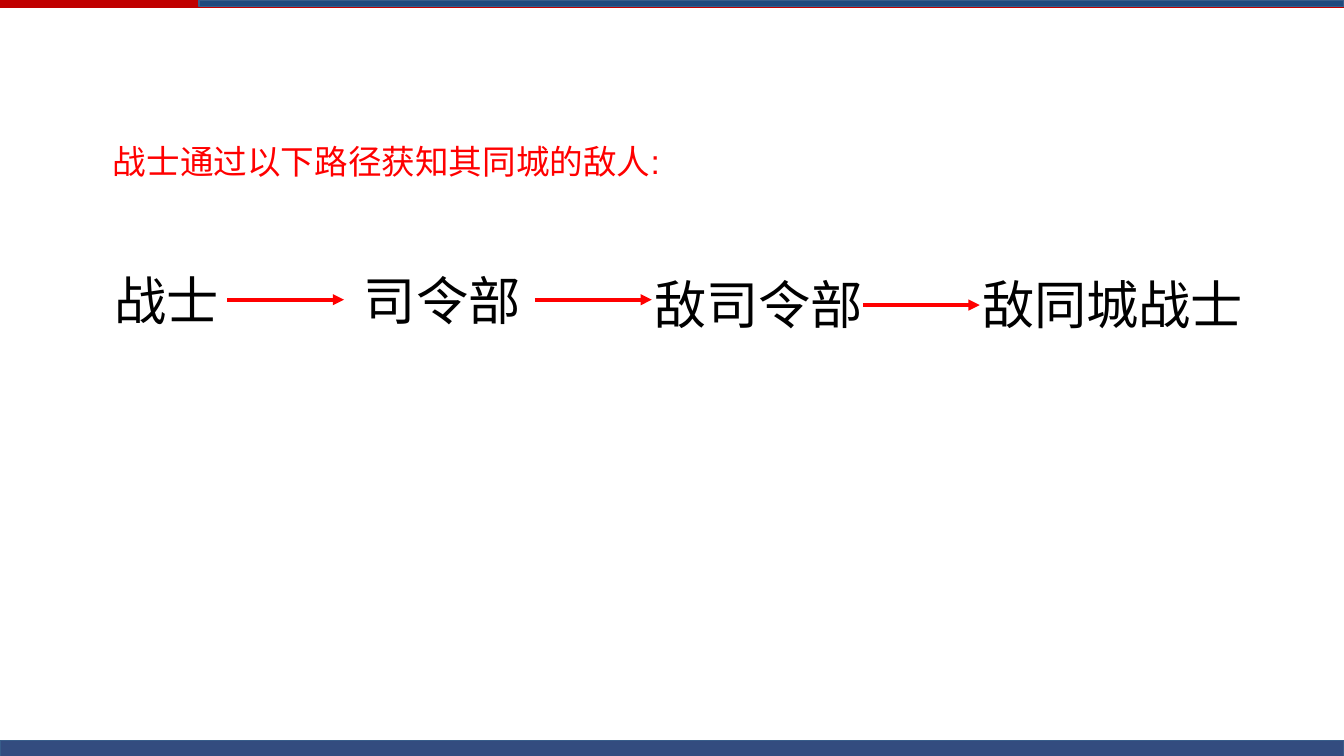
import pptx
import pptx.dml.color
import pptx.enum.shapes
import pptx.enum.text
import pptx.oxml.ns
import pptx.util
from dataclasses import dataclass
from typing import Optional

Inches = pptx.util.Inches
Pt = pptx.util.Pt
qn = pptx.oxml.ns.qn

CJK_FONT = "Noto Sans CJK SC"
RED = "FF0000"
BLACK = "000000"
BORDER_BLUE = "385D8A"


@dataclass
class Bar:
    left: float
    top: float
    width: float
    height: float
    fill: str
    border: Optional[str] = None
    opacity: int = 100


@dataclass
class Stage:
    label: str
    left: float
    top: float
    width: float


@dataclass
class Arrow:
    left: float
    y: float


BARS = [
    Bar(0, 0, 10, 0.06, "C00000"),
    Bar(1.48, 0, 8.52, 0.05, "1F497D", BORDER_BLUE),
    Bar(0, 5.51, 10, 0.12, "002060", BORDER_BLUE, 80),
]
STAGES = [
    Stage("战士", 0.75, 1.95, 0.99),
    Stage("司令部", 2.61, 1.95, 1.38),
    Stage("敌司令部", 4.77, 1.98, 1.77),
    Stage("敌同城战士", 7.21, 1.98, 2.16),
]
STAGE_HEIGHT = 0.57
ARROWS = [Arrow(1.69, 2.23), Arrow(3.98, 2.23), Arrow(6.42, 2.27)]
ARROW_LENGTH = 0.87


def color(value: str) -> pptx.dml.color.RGBColor:
    return pptx.dml.color.RGBColor.from_string(value)


def draw_bar(slide, bar: Bar) -> None:
    strip = slide.shapes.add_shape(
        pptx.enum.shapes.MSO_SHAPE.RECTANGLE,
        Inches(bar.left), Inches(bar.top), Inches(bar.width), Inches(bar.height))
    strip.shadow.inherit = False
    strip.fill.solid()
    strip.fill.fore_color.rgb = color(bar.fill)
    if bar.opacity < 100:
        tint = strip._element.spPr.find(qn("a:solidFill"))[0]
        tint.append(tint.makeelement(qn("a:alpha"), {"val": str(bar.opacity * 1000)}))
    if bar.border:
        strip.line.color.rgb = color(bar.border)
        strip.line.width = Pt(0)
    else:
        strip.line.fill.background()


def write_text(box, text: str, size: float, font: str, text_color: str) -> None:
    frame = box.text_frame
    frame.word_wrap = False
    frame.auto_size = pptx.enum.text.MSO_AUTO_SIZE.SHAPE_TO_FIT_TEXT
    frame.vertical_anchor = pptx.enum.text.MSO_ANCHOR.TOP
    frame.margin_left = frame.margin_right = Inches(0.1)
    frame.margin_top = frame.margin_bottom = Inches(0.05)
    paragraph = frame.paragraphs[0]
    paragraph.alignment = pptx.enum.text.PP_ALIGN.LEFT
    run = paragraph.add_run()
    run.text = text
    run.font.size = Pt(size)
    run.font.name = font
    run.font.color.rgb = color(text_color)
    # Chinese characters take their font from the East Asian slot
    latin = run.font._element.find(qn("a:latin"))
    latin.addnext(latin.makeelement(qn("a:ea"), {"typeface": CJK_FONT}))


def draw_stage(slide, stage: Stage) -> None:
    box = slide.shapes.add_textbox(
        Inches(stage.left), Inches(stage.top), Inches(stage.width), Inches(STAGE_HEIGHT))
    write_text(box, stage.label, 28, CJK_FONT, BLACK)


def draw_arrow(slide, arrow: Arrow) -> None:
    link = slide.shapes.add_connector(
        pptx.enum.shapes.MSO_CONNECTOR.STRAIGHT,
        Inches(arrow.left), Inches(arrow.y),
        Inches(arrow.left + ARROW_LENGTH), Inches(arrow.y))
    link.line.color.rgb = color(RED)
    link.line.width = Pt(2)
    outline = link._element.spPr.find(qn("a:ln"))
    outline.append(outline.makeelement(qn("a:tailEnd"), {"type": "triangle"}))
    outline.addnext(outline.makeelement(qn("a:effectLst"), {}))


def main() -> None:
    deck = pptx.Presentation()
    # Widescreen, 16:9
    deck.slide_width = Inches(10)
    deck.slide_height = deck.slide_width * 9 // 16
    slide = deck.slides.add_slide(deck.slide_layouts[5])

    # Header and footer bars
    for bar in BARS:
        draw_bar(slide, bar)

    # Heading
    heading = slide.shapes.title
    heading.left, heading.top = Inches(0.74), Inches(1)
    heading.width, heading.height = Inches(4.33), Inches(0.4)
    write_text(heading, "战士通过以下路径获知其同城的敌人:", 18, "Arial", RED)

    # Path from soldier to enemy soldiers in the same city
    for stage in STAGES:
        draw_stage(slide, stage)
    for arrow in ARROWS:
        draw_arrow(slide, arrow)

    deck.save("out.pptx")


if __name__ == "__main__":
    main()
